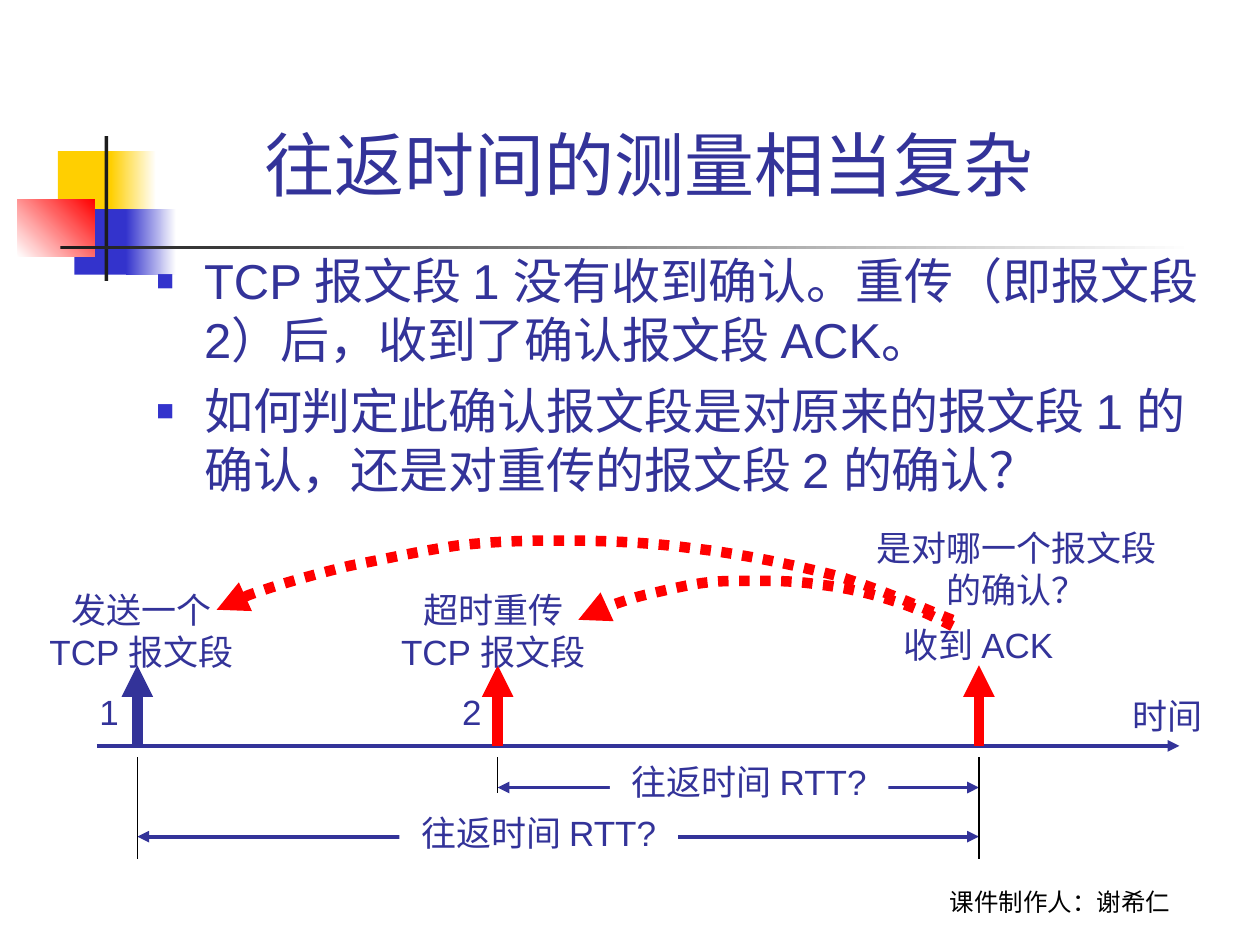
from lxml.etree import SubElement
from pptx import Presentation
from pptx.dml.color import RGBColor
from pptx.enum.dml import MSO_LINE
from pptx.enum.shapes import MSO_CONNECTOR, MSO_SHAPE
from pptx.enum.text import MSO_ANCHOR, MSO_AUTO_SIZE, PP_ALIGN
from pptx.oxml.ns import qn
from pptx.util import Inches, Pt

INK = RGBColor(0x33, 0x33, 0x99)
BLUE = RGBColor(0x33, 0x33, 0xCC)
RED = RGBColor(0xFF, 0, 0)
YELLOW = RGBColor(0xFF, 0xCF, 0x01)
DARK = RGBColor(0x1C, 0x1C, 0x1C)
BLACK = RGBColor(0, 0, 0)
WHITE = RGBColor(0xFF, 0xFF, 0xFF)

# Time line: x of the first sending, the retransmission and the ACK
SEND, RESEND, ACK = 1.09, 3.95, 7.77
AXIS = 5.92

# Bezier points, from the ACK back to each segment
ARC_TO_RESEND = [
    (7.56, 4.97), (7.48, 4.93), (7.27, 4.82), (7.09, 4.77), (6.91, 4.71),
    (6.69, 4.66), (6.5, 4.64), (6.31, 4.61), (6.13, 4.61), (5.97, 4.61),
    (5.81, 4.61), (5.7, 4.61), (5.56, 4.63), (5.42, 4.65), (5.26, 4.69),
    (5.13, 4.72), (5, 4.75), (4.87, 4.8), (4.78, 4.83), (4.69, 4.86),
    (4.64, 4.89), (4.59, 4.92)]
ARC_TO_SEND = [
    (7.56, 4.92), (7.4, 4.86), (6.98, 4.67), (6.64, 4.57), (6.29, 4.48),
    (5.85, 4.39), (5.48, 4.35), (5.11, 4.3), (4.74, 4.29), (4.43, 4.29),
    (4.13, 4.29), (3.9, 4.3), (3.63, 4.33), (3.35, 4.37), (3.04, 4.44),
    (2.78, 4.49), (2.53, 4.55), (2.28, 4.62), (2.1, 4.68), (1.92, 4.74),
    (1.83, 4.79), (1.72, 4.84)]


def add_bullet(p):
    pPr = p._p.get_or_add_pPr()
    pPr.set("marL", str(Inches(0.38)))
    pPr.set("indent", str(-Inches(0.38)))
    color = SubElement(pPr, qn("a:buClr"))
    SubElement(color, qn("a:srgbClr"), val=str(BLUE))
    SubElement(pPr, qn("a:buSzPct"), val="60000")
    SubElement(pPr, qn("a:buFont"), typeface="Arial")
    SubElement(pPr, qn("a:buChar"), char="■")


def write(tf, *lines, size=20, font="Arial", color=INK, align=PP_ALIGN.CENTER,
          anchor=MSO_ANCHOR.TOP, wrap=False, bullet=False, gap=0):
    tf.auto_size = MSO_AUTO_SIZE.NONE
    tf.word_wrap = wrap
    tf.vertical_anchor = anchor
    for i, line in enumerate(lines):
        p = tf.add_paragraph() if i else tf.paragraphs[0]
        if bullet:
            add_bullet(p)
        p.alignment = align
        p.space_before = Pt(gap if i else 0)
        r = p.add_run()
        r.text = line
        r.font.size = Pt(size)
        r.font.name = font
        r.font.color.rgb = color


def add_label(slide, box, *lines, fill=None, **fmt):
    sp = slide.shapes.add_textbox(*map(Inches, box))
    if fill is not None:
        sp.fill.solid()
        sp.fill.fore_color.rgb = fill
    write(sp.text_frame, *lines, **fmt)


def add_block(slide, box, start, end=None, angle=0):
    sp = slide.shapes.add_shape(MSO_SHAPE.RECTANGLE, *map(Inches, box))
    sp.shadow.inherit = False
    sp.line.fill.background()
    if end is None:
        sp.fill.solid()
        sp.fill.fore_color.rgb = start
    else:
        sp.fill.gradient()
        sp.fill.gradient_angle = angle
        for stop, color in zip(sp.fill.gradient_stops, (start, end)):
            stop.color.rgb = color


def style_line(line, color, width, head=False, tail=False):
    line.color.rgb = color
    line.width = Pt(width)
    for tag, used in (("a:headEnd", head), ("a:tailEnd", tail)):
        if used:
            SubElement(line._get_or_add_ln(), qn(tag), type="triangle")


def add_line(slide, x1, y1, x2, y2, color=INK, width=2.25, **ends):
    line = slide.shapes.add_connector(
        MSO_CONNECTOR.STRAIGHT, *map(Inches, (x1, y1, x2, y2)))
    style_line(line.line, color, width, **ends)
    SubElement(line._element.spPr, qn("a:effectLst"))


def add_arc(slide, points):
    pts = [(Inches(x), Inches(y)) for x, y in points]
    builder = slide.shapes.build_freeform(*pts[0])
    builder.add_line_segments(pts[1:], close=False)
    sp = builder.convert_to_shape()
    # Every three vertices become one cubic curve
    outline = next(sp._element.iter(qn("a:path")))
    steps = outline.findall(qn("a:lnTo"))
    for i in range(0, len(steps), 3):
        curve = SubElement(outline, qn("a:cubicBezTo"))
        for step in steps[i:i + 3]:
            curve.append(step[0])
            outline.remove(step)
    sp.shadow.inherit = False
    sp.fill.background()
    sp.line.dash_style = MSO_LINE.ROUND_DOT
    style_line(sp.line, RED, 6, tail=True)


def fill_placeholder(slide, sp, box, *lines, **fmt):
    sp.left, sp.top, sp.width, sp.height = map(Inches, box)
    write(sp.text_frame, *lines, wrap=True, **fmt)
    slide.shapes._spTree.append(sp._element)  # in front of the decoration


def add_decoration(slide):
    add_block(slide, (0.46, 1.2, 0.48, 0.52), YELLOW)
    add_block(slide, (0.88, 1.2, 0.36, 0.52), YELLOW, WHITE)
    add_block(slide, (0.59, 1.66, 0.46, 0.52), BLUE)
    add_block(slide, (1, 1.66, 0.4, 0.52), BLUE, WHITE)
    add_block(slide, (0.14, 1.58, 0.61, 0.46), WHITE, RED, angle=45)
    add_block(slide, (0.83, 1.08, 0.03, 1.15), DARK)
    add_block(slide, (0.48, 1.95, 9, 0.03), DARK, WHITE)


def add_timeline(slide):
    # Round-trip spans with their labels
    for start, y, box in ((RESEND, 6.25, (4.84, 5.99, 2.21, 0.44)),
                          (SEND, 6.64, (3.17, 6.39, 2.21, 0.44))):
        add_line(slide, start, y, ACK, y, head=True, tail=True)
        add_label(slide, box, "往返时间 RTT?", fill=WHITE)

    # Axis, events and extension lines
    add_line(slide, 0.77, AXIS, 9.36, AXIS, tail=True)
    for x, color, bottom in ((SEND, INK, 6.82), (RESEND, RED, 6.29),
                             (ACK, RED, 6.82)):
        add_line(slide, x, AXIS, x, 5.28, color, 6, tail=True)
        add_line(slide, x, 6.01, x, bottom, BLACK, 0.75)

    # Event labels
    add_label(slide, (0.26, 4.62, 1.73, 0.77), "发送一个", "TCP 报文段")
    add_label(slide, (3.05, 4.62, 1.73, 0.77), "超时重传", "TCP 报文段")
    add_label(slide, (7, 4.9, 1.53, 0.44), "收到 ACK")
    add_label(slide, (8.89, 5.46, 0.75, 0.44), "时间")
    add_label(slide, (0.69, 5.43, 0.35, 0.44), "1")
    add_label(slide, (3.57, 5.43, 0.35, 0.44), "2")

    # Which segment is acknowledged?
    add_arc(slide, ARC_TO_RESEND)
    add_arc(slide, ARC_TO_SEND)
    add_label(slide, (6.86, 4.13, 2.42, 0.77), "是对哪一个报文段", "的确认？")


def main():
    prs = Presentation()
    prs.slide_width, prs.slide_height = Inches(10), Inches(7.5)
    slide = prs.slides.add_slide(prs.slide_layouts[1])
    title, body = slide.placeholders

    add_decoration(slide)
    add_label(slide, (6.83, 6.82, 3.17, 0.5), "课件制作人：谢希仁", size=14,
              font="Cabin", color=BLACK, anchor=MSO_ANCHOR.BOTTOM, wrap=True)
    fill_placeholder(slide, title, (1.26, 0.76, 7.91, 0.92),
                     "往返时间的测量相当复杂 ", size=40,
                     anchor=MSO_ANCHOR.BOTTOM)
    fill_placeholder(
        slide, body, (1.14, 1.94, 8.5, 2.12),
        "TCP 报文段 1 没有收到确认。重传（即报文段 2）后，收到了确认报文段 ACK。",
        "如何判定此确认报文段是对原来的报文段 1 的确认，还是对重传的报文段 2 的确认？",
        size=28, align=PP_ALIGN.LEFT, bullet=True, gap=7)
    add_timeline(slide)
    prs.save("out.pptx")


if __name__ == "__main__":
    main()
